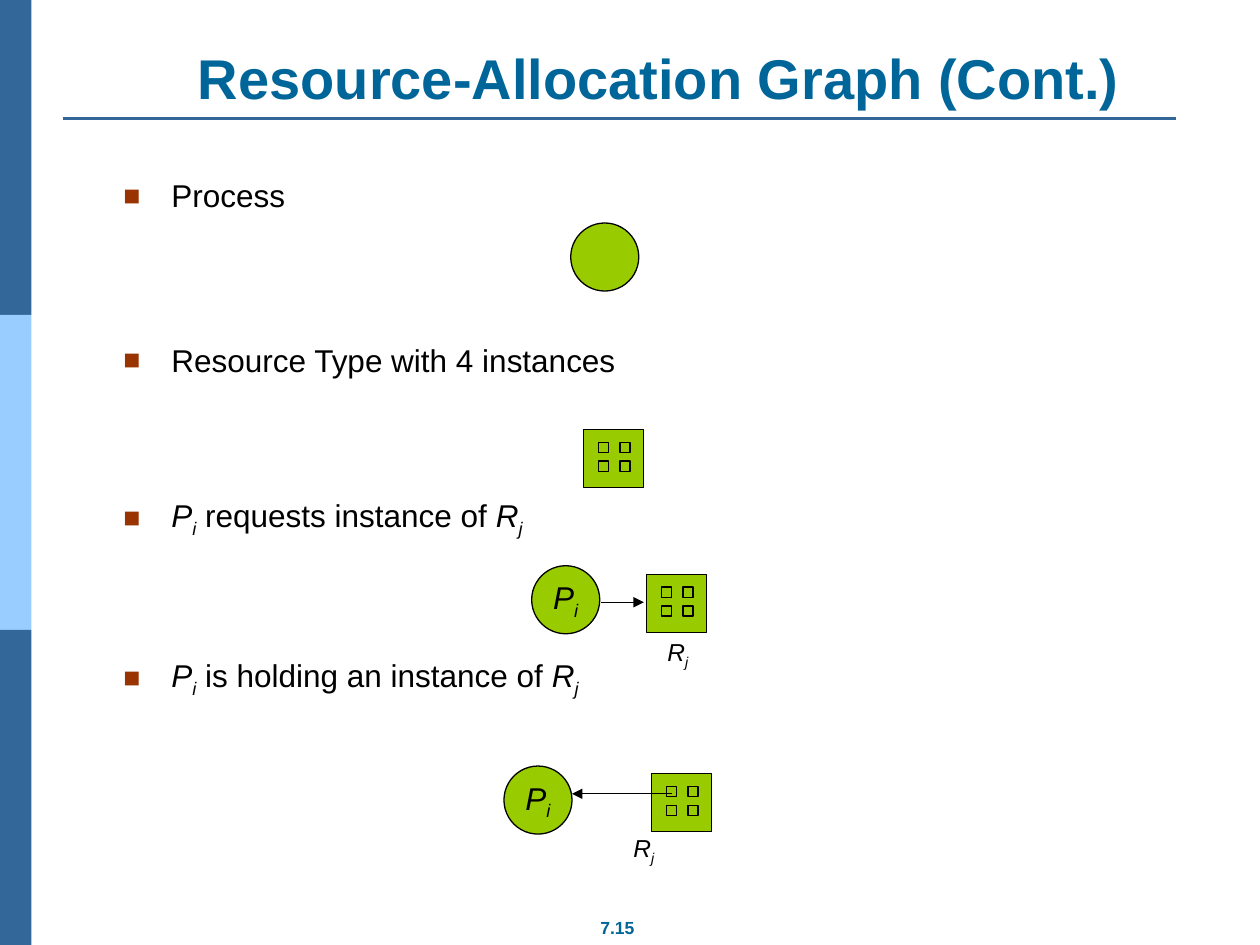
from lxml import etree
from pptx import Presentation
from pptx.dml.color import RGBColor
from pptx.enum.shapes import MSO_CONNECTOR, MSO_SHAPE
from pptx.enum.text import MSO_ANCHOR, MSO_AUTO_SIZE, PP_ALIGN
from pptx.oxml.ns import qn
from pptx.util import Inches, Pt

BLACK, GREEN, BLUE, SKY = "000000", "99CC00", "336699", "99CCFF"
HEADING, BULLET = "006699", "993300"

# Text parts are (text, style); style is "plain", "italic" or "sub"
P_I = [("P", "italic"), ("i", "sub")]
R_J = [("R", "italic"), ("j", "sub")]
TITLE = [("Resource-Allocation Graph (Cont.)", "plain")]
PAGE = [("7.15", "plain")]
BULLETS = [  # parts, space before in points
    ([("Process", "plain")], 0),
    ([("Resource Type with 4 instances", "plain")], 72.5),
    (P_I + [(" requests instance of ", "plain")] + R_J, 67),
    (P_I + [(" is holding an instance of ", "plain")] + R_J, 67),
]
SIDE_BANDS = [BLUE, SKY, BLUE]
PROCESSES = [(4.53, 1.77, None), (4.22, 4.49, P_I), (4, 6.08, P_I)]
RESOURCES = [(4.63, 3.41), (5.13, 4.56), (5.17, 6.14)]
RESOURCE_LABELS = [(5.2, 5), (4.93, 6.56)]
ARROWS = [(4.77, 4.78, 5.11, 4.78), (5.33, 6.3, 4.54, 6.3)]


def rgb(colour):
    return RGBColor.from_string(colour)


def write(paragraph, parts, size=18, colour=BLACK, bold=False, align=PP_ALIGN.CENTER):
    paragraph.alignment = align
    for text, style in parts:
        run = paragraph.add_run()
        run.text = text
        run.font.name = "Arial"
        run.font.size = Pt(size)
        run.font.bold = bold
        run.font.italic = style != "plain"
        run.font.color.rgb = rgb(colour)
        if style == "sub":
            run._r.get_or_add_rPr().set("baseline", "-25000")


def add_bullet(paragraph, indent):
    """Give the paragraph a hanging square bullet."""
    properties = paragraph._p.get_or_add_pPr()
    properties.set("marL", str(indent))
    properties.set("indent", str(-indent))
    bullet_colour = etree.SubElement(properties, qn("a:buClr"))
    etree.SubElement(bullet_colour, qn("a:srgbClr"), val=BULLET)
    etree.SubElement(properties, qn("a:buSzPct"), val="90000")
    etree.SubElement(properties, qn("a:buFont"), typeface="Arial")
    etree.SubElement(properties, qn("a:buChar"), char="■")


def place(shape, left, top, width, height):
    shape.left, shape.top = Inches(left), Inches(top)
    shape.width, shape.height = Inches(width), Inches(height)


def add_filled(shapes, kind, left, top, width, height, fill=GREEN, outline=BLACK):
    shape = shapes.add_shape(kind, Inches(left), Inches(top), Inches(width), Inches(height))
    shape.shadow.inherit = False
    shape.fill.solid()
    shape.fill.fore_color.rgb = rgb(fill)
    if outline:
        shape.line.color.rgb = rgb(outline)
        shape.line.width = Pt(0.75)
    else:
        shape.line.fill.background()
    return shape


def add_line(shapes, x1, y1, x2, y2, colour=BLACK, width=0.75, arrow=False):
    line = shapes.add_connector(
        MSO_CONNECTOR.STRAIGHT, Inches(x1), Inches(y1), Inches(x2), Inches(y2))
    line.line.color.rgb = rgb(colour)
    line.line.width = Pt(width)
    if arrow:
        etree.SubElement(line.line._get_or_add_ln(), qn("a:tailEnd"), type="triangle")
    etree.SubElement(line._element.spPr, qn("a:effectLst"))


def add_label(shapes, left, top, width, height, parts, **text_format):
    label = shapes.add_textbox(Inches(left), Inches(top), Inches(width), Inches(height))
    frame = label.text_frame
    frame.word_wrap = False
    frame.margin_left = frame.margin_right = 0
    frame.vertical_anchor = MSO_ANCHOR.MIDDLE
    write(frame.paragraphs[0], parts, **text_format)


def add_process(shapes, left, top, name):
    circle = add_filled(shapes, MSO_SHAPE.OVAL, left, top, 0.54, 0.54)
    if name:
        frame = circle.text_frame
        frame.word_wrap = False
        frame.vertical_anchor = MSO_ANCHOR.MIDDLE
        write(frame.paragraphs[0], name)


def add_resource(shapes, left, top):
    """Draw a resource type as a group holding four instances."""
    group = shapes.add_group_shape().shapes
    add_filled(group, MSO_SHAPE.RECTANGLE, left, top, 0.48, 0.46)
    for row in range(2):
        for column in range(2):
            add_filled(group, MSO_SHAPE.RECTANGLE, left + 0.12 + 0.17 * column,
                       top + 0.1 + 0.15 * row, 0.08, 0.08)


def main():
    presentation = Presentation()
    presentation.slide_width, presentation.slide_height = Inches(10), Inches(7.5)
    slide = presentation.slides.add_slide(presentation.slide_layouts[1])
    shapes = slide.shapes

    title, body = slide.placeholders
    place(title, 0.96, 0.3, 8.54, 0.63)
    title.text_frame.vertical_anchor = MSO_ANCHOR.BOTTOM
    title.text_frame.auto_size = MSO_AUTO_SIZE.NONE
    write(title.text_frame.paragraphs[0], TITLE, size=32, colour=HEADING, bold=True)

    place(body, 0.88, 1.35, 9, 4.96)
    frame = body.text_frame
    frame.auto_size = MSO_AUTO_SIZE.NONE
    for index, (parts, space) in enumerate(BULLETS):
        paragraph = frame.add_paragraph() if index else frame.paragraphs[0]
        add_bullet(paragraph, Inches(0.38))
        paragraph.space_before = Pt(space)
        write(paragraph, parts, align=PP_ALIGN.LEFT)

    for index, colour in enumerate(SIDE_BANDS):
        add_filled(shapes, MSO_SHAPE.RECTANGLE, 0, 2.5 * index, 0.25, 2.5,
                   fill=colour, outline=None)
    add_line(shapes, 0.5, 0.94, 9.33, 0.94, colour=BLUE, width=1.5)
    add_label(shapes, 4.41, 7.23, 0.98, 0.27, PAGE, size=10, colour=HEADING, bold=True)

    for left, top, name in PROCESSES:
        add_process(shapes, left, top, name)
    for left, top in RESOURCES:
        add_resource(shapes, left, top)
    for left, top in RESOURCE_LABELS:
        add_label(shapes, left, top, 0.36, 0.37, R_J, size=14)
    for ends in ARROWS:
        add_line(shapes, *ends, arrow=True)

    presentation.save("out.pptx")


if __name__ == "__main__":
    main()
